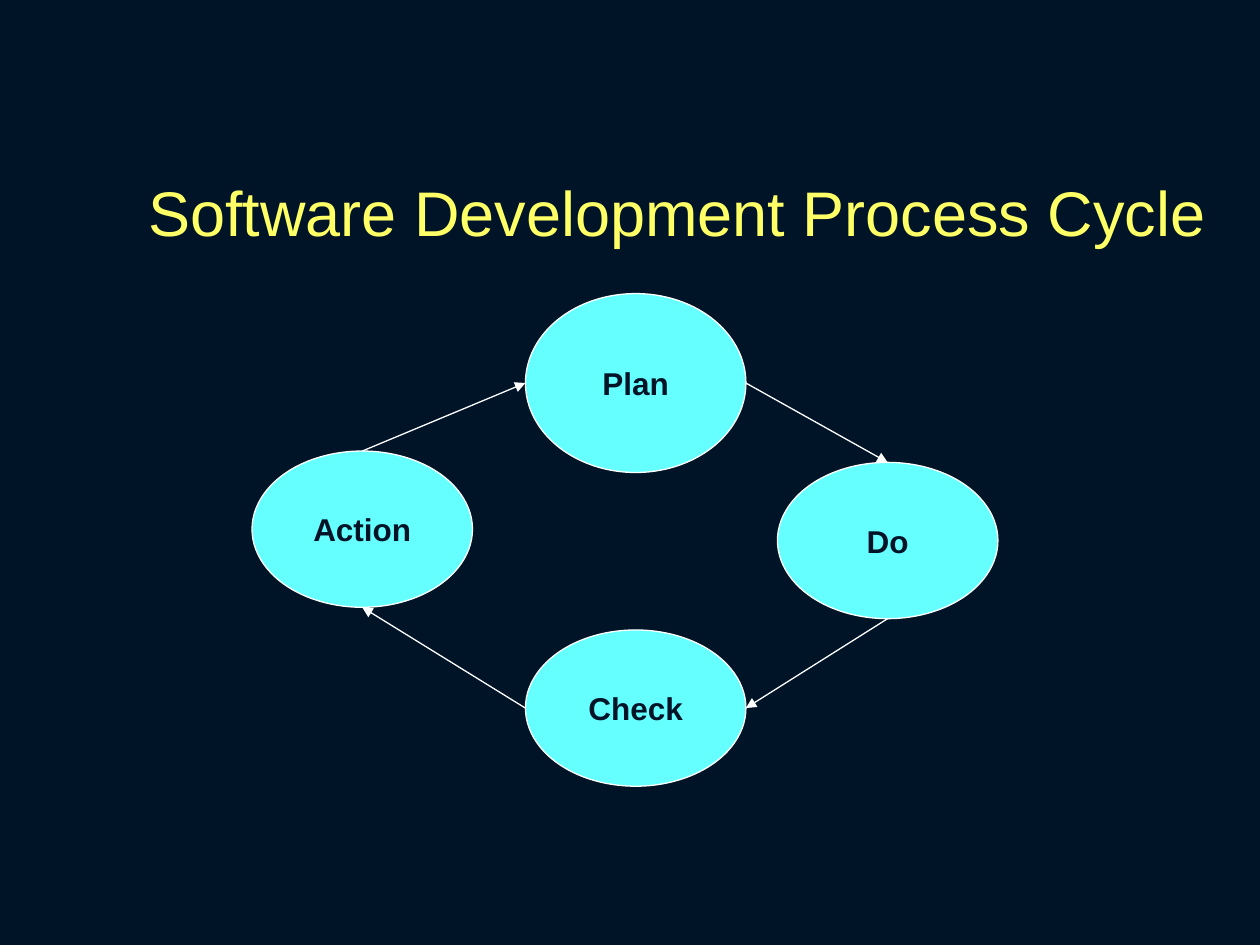
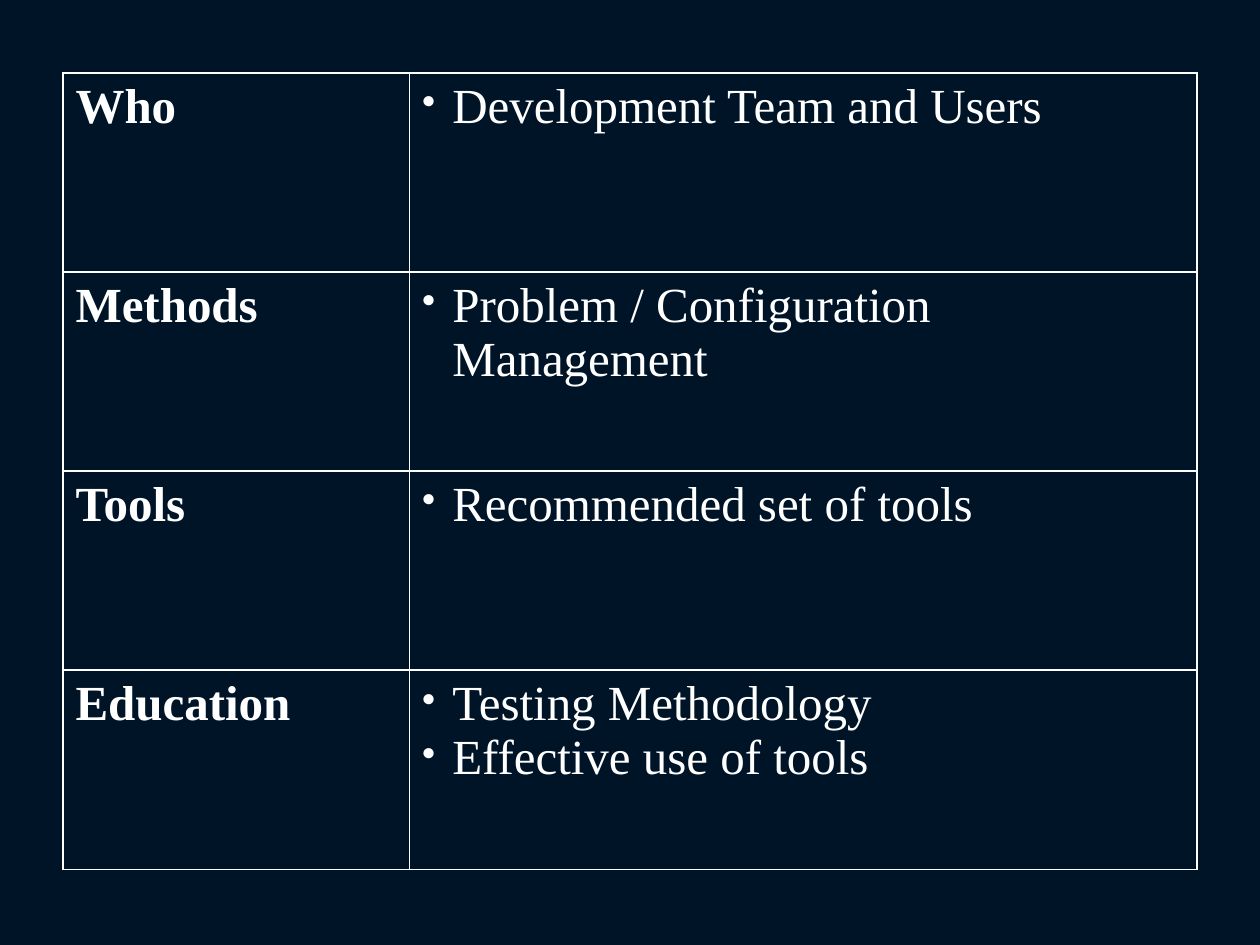
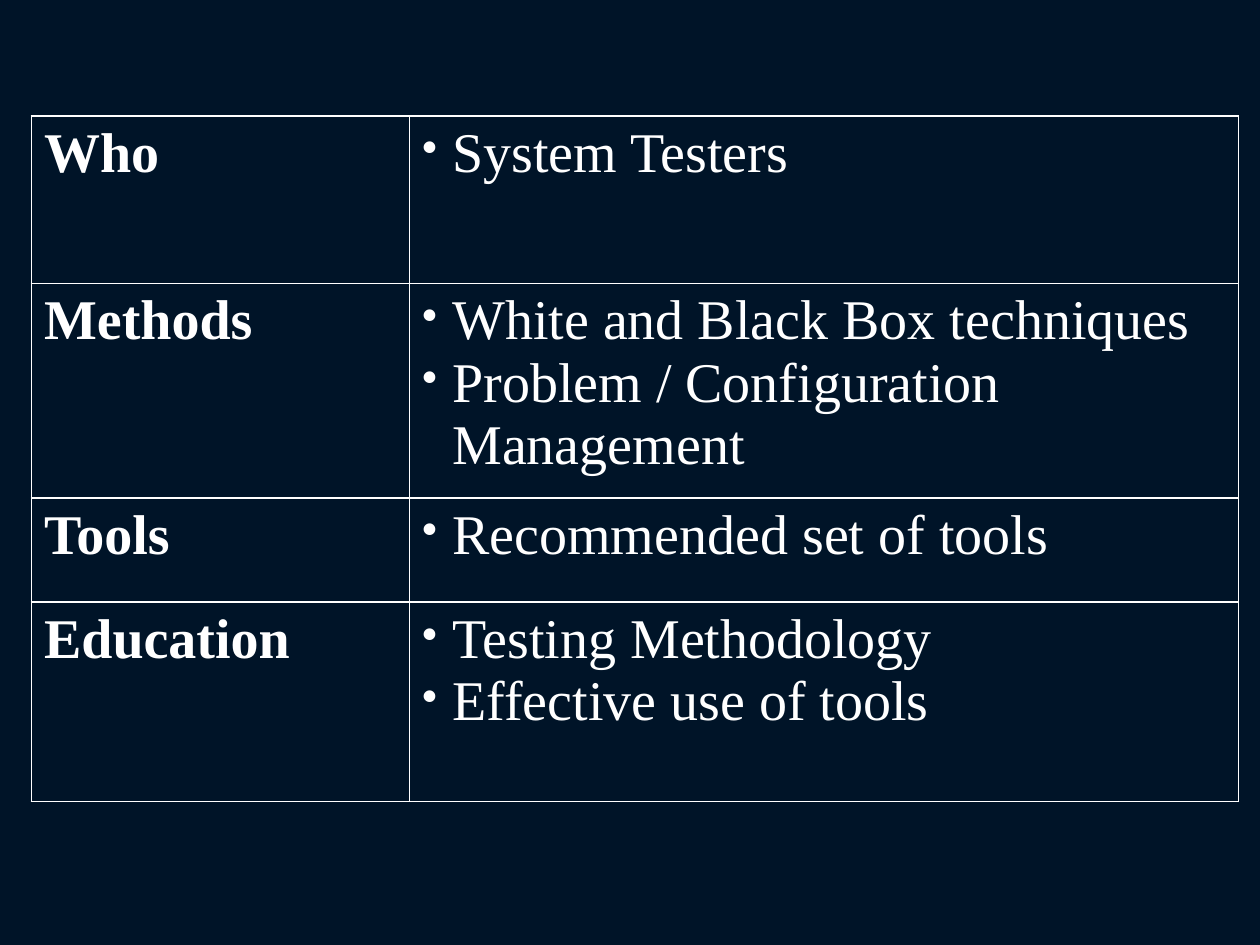
import pptx
import pptx.dml.color
import pptx.enum.shapes
import pptx.enum.text
import pptx.oxml.ns
import pptx.util
from lxml import etree

Inches = pptx.util.Inches
Pt = pptx.util.Pt
RGBColor = pptx.dml.color.RGBColor
qn = pptx.oxml.ns.qn

NAVY = RGBColor(0x00, 0x14, 0x28)
CYAN = RGBColor(0x66, 0xFF, 0xFF)
YELLOW = RGBColor(0xFF, 0xFF, 0x66)
WHITE = RGBColor(0xFF, 0xFF, 0xFF)
SANS = "Arial"
SERIF = "Times New Roman"
OUTER, INNER = 1.08, 0.45


def add_xml(parent, tag, **attributes):
    return etree.SubElement(parent, qn(tag), attributes)


class Deck:
    def __init__(self, prs):
        self.prs = prs
        self.s = None

    def new_slide(self):
        self.s = self.prs.slides.add_slide(self.prs.slide_layouts[6])
        fill = self.s.background.fill
        fill.solid()
        fill.fore_color.rgb = NAVY

    def style(self, p, size, font, color, bold=False):
        for r in p.runs:
            r.font.size = Pt(size)
            r.font.name = font
            r.font.color.rgb = color
            r.font.bold = bold

    def title(self, text, left, top, width, height):
        sp = self.s.shapes.add_textbox(
            Inches(left), Inches(top), Inches(width), Inches(height))
        tf = sp.text_frame
        tf.word_wrap = False
        tf.text = text
        self.style(tf.paragraphs[0], 36, SANS, YELLOW)

    def ellipse(self, text, left, top, height=1.24):
        sp = self.s.shapes.add_shape(
            pptx.enum.shapes.MSO_SHAPE.OVAL,
            Inches(left), Inches(top), Inches(1.75), Inches(height))
        sp.shadow.inherit = False
        sp.fill.solid()
        sp.fill.fore_color.rgb = CYAN
        sp.line.color.rgb = WHITE
        sp.line.width = Pt(0.75)
        tf = sp.text_frame
        tf.word_wrap = False
        tf.vertical_anchor = pptx.enum.text.MSO_ANCHOR.MIDDLE
        tf.text = text
        p = tf.paragraphs[0]
        p.alignment = pptx.enum.text.PP_ALIGN.CENTER
        self.style(p, 18, SANS, NAVY, True)
        return sp

    def arrow(self, start, end):
        line = self.s.shapes.add_connector(
            pptx.enum.shapes.MSO_CONNECTOR.STRAIGHT, *start, *end)
        line.line.color.rgb = WHITE
        line.line.width = Pt(0.75)
        add_xml(line.line._get_or_add_ln(), "a:tailEnd", type="triangle")
        add_xml(line._element.spPr, "a:effectLst")

    def borders(self, cell, **widths):
        tcPr = cell._tc.get_or_add_tcPr()
        for side, width in widths.items():
            ln = add_xml(tcPr, f"a:ln{side}", w=str(Pt(width)))
            add_xml(add_xml(ln, "a:solidFill"), "a:srgbClr", val=str(WHITE))

    def bullet(self, p):
        indent = Inches(0.24)
        pPr = p._p.get_or_add_pPr()
        pPr.set("marL", str(indent))
        pPr.set("indent", str(-indent))
        add_xml(add_xml(pPr, "a:buClr"), "a:srgbClr", val=str(WHITE))
        add_xml(pPr, "a:buSzPct", val="80000")
        add_xml(pPr, "a:buChar", char="•")

    def table(self, left, top, widths, heights, size, rows):
        table = self.s.shapes.add_table(
            len(rows), len(widths), Inches(left), Inches(top),
            Inches(sum(widths)), Inches(sum(heights))).table
        table.first_row = table.horz_banding = False
        for column, width in zip(table.columns, widths):
            column.width = Inches(width)
        for i, (label, items) in enumerate(rows):
            table.rows[i].height = Inches(heights[i])
            heading, body = table.rows[i].cells
            self.borders(heading, L=OUTER, R=INNER, T=OUTER, B=OUTER)
            self.borders(body, L=INNER, R=OUTER, T=OUTER, B=OUTER)
            heading.text_frame.text = label
            body.text_frame.text = "\n".join(items)
            for cell in (heading, body):
                cell.fill.background()
                for p in cell.text_frame.paragraphs:
                    self.style(p, size, SERIF, WHITE, cell is heading)
            for p in body.text_frame.paragraphs:
                self.bullet(p)


def side(sp, x, y):
    return sp.left + int(sp.width * x), sp.top + int(sp.height * y)


def main():
    prs = pptx.Presentation()
    prs.slide_width, prs.slide_height = Inches(10), Inches(7.5)
    deck = Deck(prs)
    top, right, bottom, left = (0.5, 0), (1, 0.5), (0.5, 1), (0, 0.5)

    deck.new_slide()
    plan = deck.ellipse("Plan", 4.17, 2.33, 1.42)
    do = deck.ellipse("Do", 6.17, 3.67)
    check = deck.ellipse("Check", 4.17, 5)
    action = deck.ellipse("Action", 2, 3.58)
    for source, leaving, target, entering in (
            (action, top, plan, left), (plan, right, do, top),
            (do, bottom, check, right), (check, left, action, bottom)):
        deck.arrow(side(source, *leaving), side(target, *entering))
    deck.title("Software Development Process Cycle", 1.08, 1.33, 8.59, 0.7)

    management = "Problem / Configuration Management"
    shared_rows = [
        ("Tools", ["Recommended set of tools"]),
        ("Education", ["Testing Methodology", "Effective use of tools"]),
    ]

    deck.new_slide()
    deck.table(0.5, 0.58, [2.75, 6.25], [1.58] * 4, 28, [
        ("Who", ["Development Team and Users"]),
        ("Methods", [management]),
        *shared_rows,
    ])

    deck.new_slide()
    deck.table(0.25, 0.92, [3, 6.58], [1.33, 1.7, 0.83, 1.58], 32, [
        ("Who", ["System Testers"]),
        ("Methods", ["White and Black Box techniques", management]),
        *shared_rows,
    ])
    prs.save("out.pptx")


if __name__ == "__main__":
    main()
